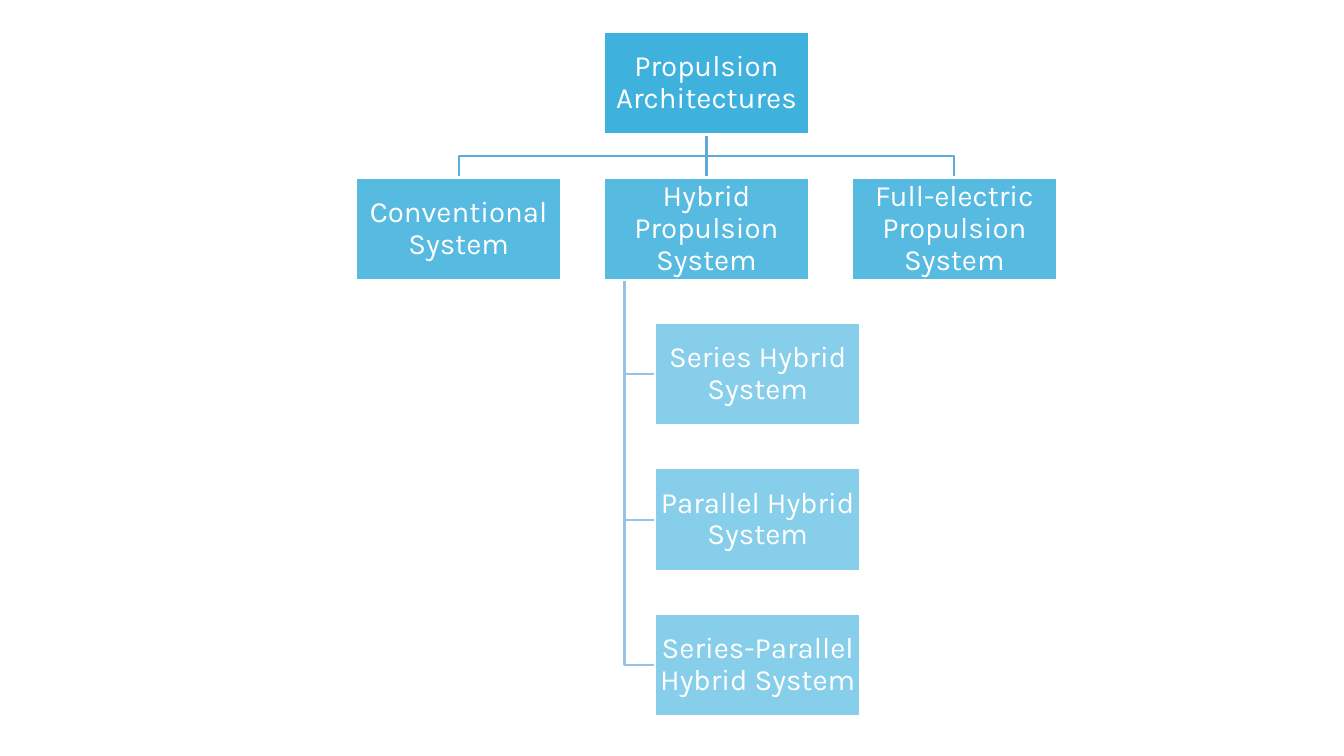
from dataclasses import dataclass

from lxml import etree
from pptx import Presentation
from pptx.dml.color import RGBColor
from pptx.enum.shapes import MSO_CONNECTOR, MSO_SHAPE
from pptx.enum.text import MSO_ANCHOR, PP_ALIGN
from pptx.oxml.ns import qn
from pptx.util import Pt

RECTANGLE = MSO_SHAPE.RECTANGLE
STRAIGHT = MSO_CONNECTOR.STRAIGHT
MIDDLE = MSO_ANCHOR.MIDDLE
CENTER = PP_ALIGN.CENTER
BOTTOM_SITE, TOP_SITE = 2, 0


@dataclass(frozen=True)
class Theme:
    fill: RGBColor = RGBColor(0x0F, 0x9E, 0xD5)
    white: RGBColor = RGBColor(0xFF, 0xFF, 0xFF)
    main_branch: RGBColor = RGBColor(0x5E, 0xAB, 0xDA)
    sub_branch: RGBColor = RGBColor(0x97, 0xC2, 0xE3)
    font: str = "Karla"
    size: float = 21
    line: float = 1.5
    inset: float = 0.95
    line_spacing: float = 0.9
    space_after: float = 7.35


@dataclass(frozen=True)
class Node:
    text: str
    column: float
    row: int
    opacity: int

    @property
    def left(self) -> float:
        return ROOT_LEFT + self.column * COLUMN_STEP

    @property
    def top(self) -> float:
        return ROOT_TOP + self.row * ROW_STEP

    @property
    def center(self) -> float:
        return self.left + BOX_WIDTH / 2

    @property
    def middle(self) -> float:
        return self.top + BOX_HEIGHT / 2

    @property
    def bottom(self) -> float:
        return self.top + BOX_HEIGHT


THEME = Theme()
BOX_WIDTH, BOX_HEIGHT = 146.3, 73.15
ROOT_LEFT, ROOT_TOP = 431.5, 22.9
COLUMN_STEP, ROW_STEP = 177.05, 103.88
SUB_COLUMN = BOX_WIDTH / 4 / COLUMN_STEP

ROOT = Node("Propulsion Architectures", 0, 0, 80)
CONVENTIONAL = Node("Conventional System", -1, 1, 70)
HYBRID = Node("Hybrid Propulsion System", 0, 1, 70)
ELECTRIC = Node("Full-electric Propulsion System", 1, 1, 70)
HYBRID_TYPES = [
    Node(text, SUB_COLUMN, row, 50)
    for row, text in enumerate(
        ("Series Hybrid System", "Parallel Hybrid System", "Series-Parallel Hybrid System"),
        start=2,
    )
]


def add_box(page, node: Node):
    box = page.shapes.add_shape(
        RECTANGLE, Pt(node.left), Pt(node.top), Pt(BOX_WIDTH), Pt(BOX_HEIGHT)
    )
    box.shadow.inherit = False
    box.fill.solid()
    box.fill.fore_color.rgb = THEME.fill
    color = box.fill._xPr.find(qn("a:solidFill"))[0]
    etree.SubElement(color, qn("a:alpha"), val=str(node.opacity * 1000))
    box.line.color.rgb = THEME.white
    box.line.width = Pt(THEME.line)
    frame = box.text_frame
    frame.word_wrap = True
    frame.vertical_anchor = MIDDLE
    frame.margin_left = frame.margin_right = Pt(THEME.inset)
    frame.margin_top = frame.margin_bottom = Pt(THEME.inset)
    para = frame.paragraphs[0]
    para.text = node.text
    para.alignment = CENTER
    para.line_spacing = THEME.line_spacing
    para.space_after = Pt(THEME.space_after)
    para.font.name = THEME.font
    para.font.size = Pt(THEME.size)
    para.font.color.rgb = THEME.white
    return box


def add_branch(page, points: list[tuple[float, float]], color: RGBColor):
    start, *bends = [(Pt(x), Pt(y)) for x, y in points]
    builder = page.shapes.build_freeform(*start)
    builder.add_line_segments(bends, close=False)
    branch = builder.convert_to_shape()
    branch.shadow.inherit = False
    branch.fill.background()
    branch.line.color.rgb = color
    branch.line.width = Pt(THEME.line)


def add_stem(page, upper, lower, color: RGBColor) -> None:
    stem = page.shapes.add_connector(STRAIGHT, 0, 0, 0, 0)
    stem.begin_connect(upper, BOTTOM_SITE)
    stem.end_connect(lower, TOP_SITE)
    stem.line.color.rgb = color
    stem.line.width = Pt(THEME.line)
    etree.SubElement(stem._element.spPr, qn("a:effectLst"))
    upper._element.addprevious(stem._element)


def main() -> None:
    deck = Presentation()
    deck.slide_width, deck.slide_height = Pt(960), Pt(540)
    page = deck.slides.add_slide(deck.slide_layouts[6])

    trunk = HYBRID.left + BOX_WIDTH / 10
    for node in reversed(HYBRID_TYPES):
        points = [(trunk, HYBRID.bottom), (trunk, node.middle), (node.left, node.middle)]
        add_branch(page, points, THEME.sub_branch)

    bend = (ROOT.bottom + HYBRID.top) / 2
    for node in (ELECTRIC, CONVENTIONAL):
        points = [
            (ROOT.center, ROOT.bottom),
            (ROOT.center, bend),
            (node.center, bend),
            (node.center, node.top),
        ]
        add_branch(page, points, THEME.main_branch)

    root_box = add_box(page, ROOT)
    hybrid_box = add_box(page, HYBRID)
    for node in (CONVENTIONAL, ELECTRIC, *HYBRID_TYPES):
        add_box(page, node)
    add_stem(page, root_box, hybrid_box, THEME.main_branch)

    deck.save("out.pptx")


if __name__ == "__main__":
    main()
